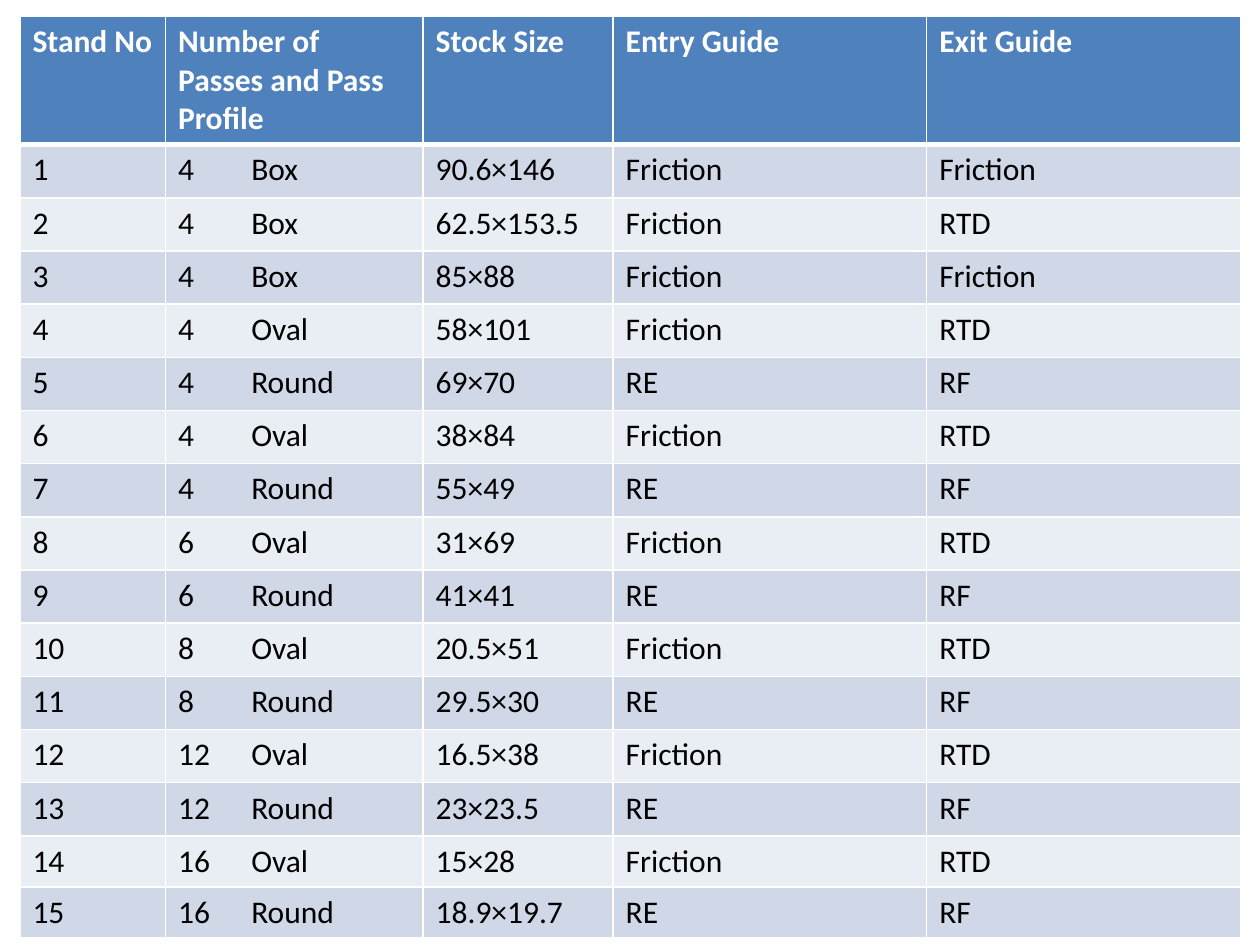
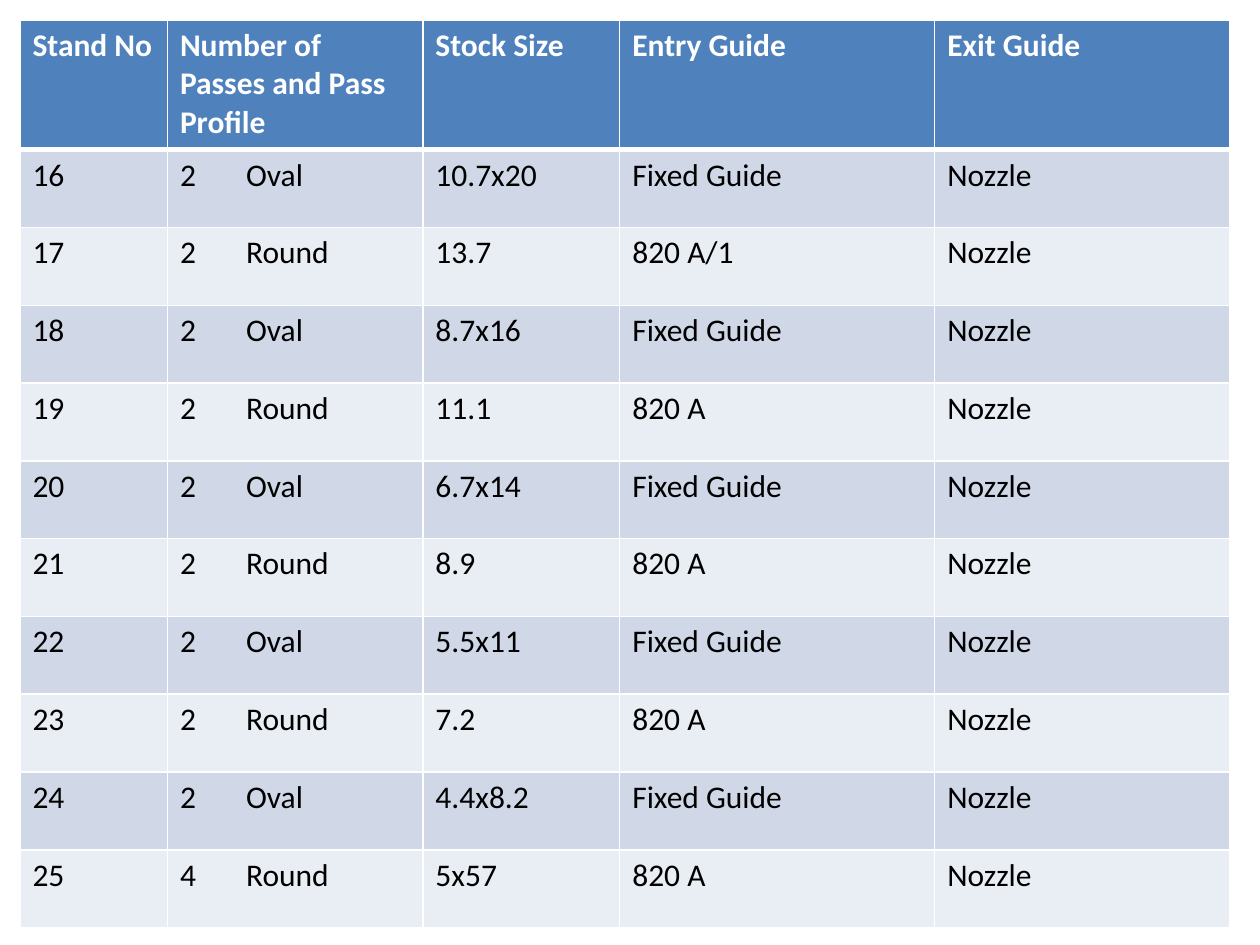
from lxml import etree
from pptx import Presentation
from pptx.dml.color import RGBColor
from pptx.oxml.ns import qn
from pptx.util import Pt

HEADINGS = ("Stand No", "Number of Passes and Pass Profile", "Stock Size",
            "Entry Guide", "Exit Guide")

# Passes, pass profile, stock size, entry guide, exit guide
ROUGHING_STANDS = [
    (4, "Box", "90.6×146", "Friction", "Friction"),
    (4, "Box", "62.5×153.5", "Friction", "RTD"),
    (4, "Box", "85×88", "Friction", "Friction"),
    (4, "Oval", "58×101", "Friction", "RTD"),
    (4, "Round", "69×70", "RE", "RF"),
    (4, "Oval", "38×84", "Friction", "RTD"),
    (4, "Round", "55×49", "RE", "RF"),
    (6, "Oval", "31×69", "Friction", "RTD"),
    (6, "Round", "41×41", "RE", "RF"),
    (8, "Oval", "20.5×51", "Friction", "RTD"),
    (8, "Round", "29.5×30", "RE", "RF"),
    (12, "Oval", "16.5×38", "Friction", "RTD"),
    (12, "Round", "23×23.5", "RE", "RF"),
    (16, "Oval", "15×28", "Friction", "RTD"),
    (16, "Round", "18.9×19.7", "RE", "RF"),
]
FINISHING_STANDS = [
    (2, "Oval", "10.7x20", "Fixed Guide", "Nozzle"),
    (2, "Round", "13.7", "820 A/1", "Nozzle"),
    (2, "Oval", "8.7x16", "Fixed Guide", "Nozzle"),
    (2, "Round", "11.1", "820 A", "Nozzle"),
    (2, "Oval", "6.7x14", "Fixed Guide", "Nozzle"),
    (2, "Round", "8.9", "820 A", "Nozzle"),
    (2, "Oval", "5.5x11", "Fixed Guide", "Nozzle"),
    (2, "Round", "7.2", "820 A", "Nozzle"),
    (2, "Oval", "4.4x8.2", "Fixed Guide", "Nozzle"),
    (4, "Round", "5x57", "820 A", "Nozzle"),
]


def rgb(color):
    return RGBColor.from_string(color)


class Deck:
    FONT, SIZE = "Calibri", 18
    WHITE, BLACK = "FFFFFF", "000000"
    HEADER, BANDS = "4F81BD", ("D0D8E8", "E9EDF4")
    LEFT, RULE, HEADER_RULE = 11.4, 1, 3

    def __init__(self):
        self.prs = Presentation()
        self.prs.slide_width, self.prs.slide_height = Pt(720), Pt(540)
        self.slide = None

    def add_slide(self):
        self.slide = self.prs.slides.add_slide(self.prs.slide_layouts[6])

    def borders(self, cell, top, bottom):
        tc_pr = cell._tc.get_or_add_tcPr()
        for side, width in (("L", self.RULE), ("R", self.RULE), ("T", top), ("B", bottom)):
            ln = etree.SubElement(tc_pr, qn(f"a:ln{side}"), w=str(Pt(width)))
            fill = etree.SubElement(ln, qn("a:solidFill"))
            etree.SubElement(fill, qn("a:srgbClr"), val=self.WHITE)

    def cell(self, cell, text, row, tab):
        """Fill and style one cell; a tab in the text jumps to the stop at tab."""
        is_header = row == 0
        self.borders(cell, top=self.HEADER_RULE if row == 1 else self.RULE,
                     bottom=self.HEADER_RULE if is_header else self.RULE)
        cell.fill.solid()
        cell.fill.fore_color.rgb = rgb(self.HEADER if is_header else self.BANDS[(row - 1) % 2])
        p = cell.text_frame.paragraphs[0]
        p.text = text
        if "\t" in text:
            tabs = etree.SubElement(p._p.get_or_add_pPr(), qn("a:tabLst"))
            etree.SubElement(tabs, qn("a:tab"), pos=str(Pt(tab)), algn="l")
        p.font.name, p.font.size, p.font.bold = self.FONT, Pt(self.SIZE), is_header
        p.font.color.rgb = rgb(self.WHITE if is_header else self.BLACK)

    def table(self, rows, top, widths, heights, tab):
        table = self.slide.shapes.add_table(
            len(rows), len(widths), Pt(self.LEFT), Pt(top),
            Pt(sum(widths)), Pt(sum(heights))).table
        table.first_row = table.horz_banding = False
        for column, width in zip(table.columns, widths):
            column.width = Pt(width)
        for i, (row, height) in enumerate(zip(rows, heights)):
            table.rows[i].height = Pt(height)
            for j, text in enumerate(row):
                self.cell(table.cell(i, j), text, i, tab)

    def stand_slide(self, stands, first, **layout):
        """Add a slide that lists the stands, numbered from first."""
        self.add_slide()
        rows = [HEADINGS]
        for number, (passes, profile, *rest) in enumerate(stands, first):
            rows.append((str(number), f"{passes}\t{profile}", *rest))
        self.table(rows, **layout)


def main():
    deck = Deck()
    deck.stand_slide(ROUGHING_STANDS, first=1, top=9.5, tab=41.8,
                     widths=(83.2, 147.2, 108.6, 179.2, 179.2),
                     heights=[71.4] + [30.4] * 13 + [29.1] * 2)
    deck.stand_slide(FINISHING_STANDS, first=16, top=11.4, tab=37.8,
                     widths=(84.3, 146, 112.5, 180, 168.8),
                     heights=[74.2] + [44.45] * 10)
    deck.prs.save("out.pptx")


if __name__ == "__main__":
    main()
